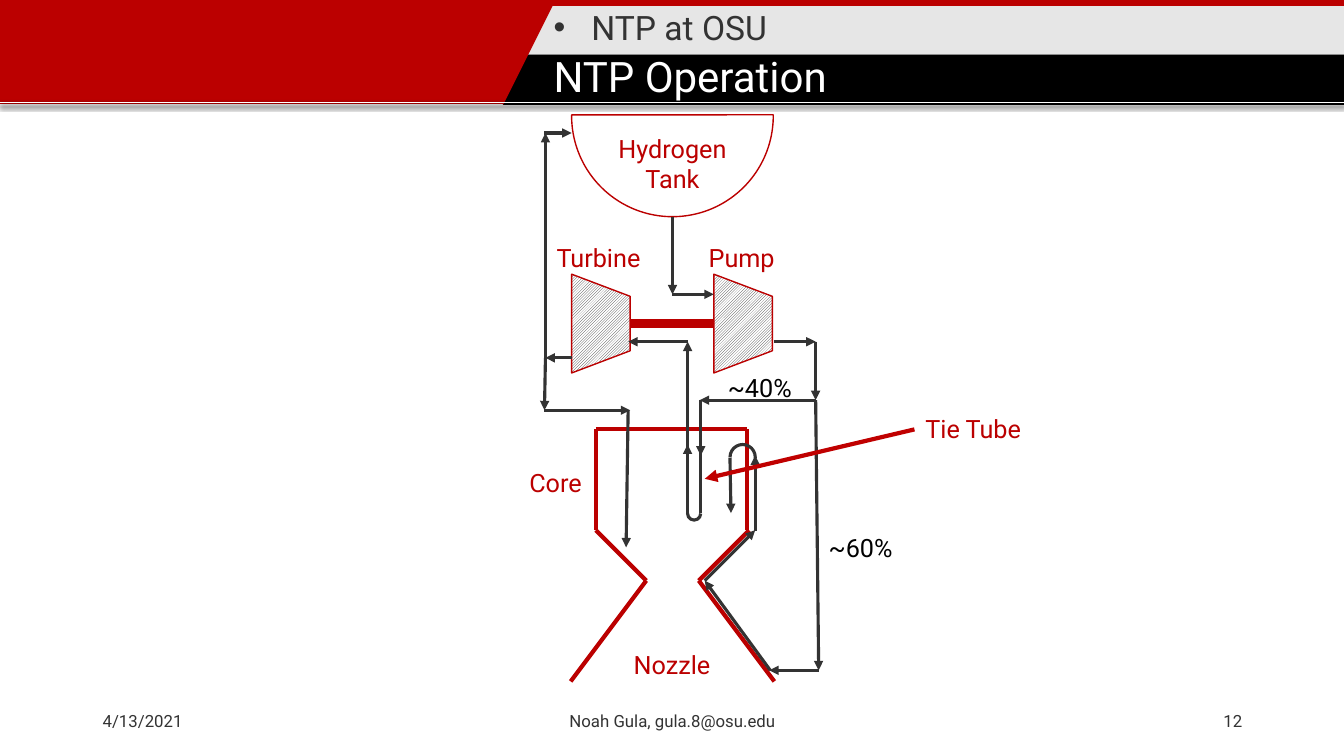
"""Build the NTP operation slide with its engine flow diagram."""
from lxml import etree
from pptx import Presentation
from pptx import util as u
from pptx.dml.color import RGBColor
from pptx.enum import dml, shapes, text
from pptx.oxml.ns import qn

THEME = {
    "font": "Roboto",
    "red": "BB0000", "tie": "C00000", "ink": "333333",
    "black": "000000", "white": "FFFFFF", "pale": "E6E6E6",
    "foot": 12, "label": 18, "topic": 24, "title": 30,
    "thin": 1, "flow": 2.25, "wall": 3, "shaft": 6,
}
KIND, ALIGN, ANCHOR = shapes.MSO_SHAPE, text.PP_ALIGN, text.MSO_ANCHOR
LEFT, MID, RIGHT = ALIGN.LEFT, ALIGN.CENTER, ALIGN.RIGHT

BANDS = [
    (KIND.RECTANGLE, (4.99, 0.54, 8.34, 0.5), "black", 0),
    (KIND.RECTANGLE, (4.99, 0.04, 8.34, 0.5), "pale", 0),
    (KIND.RECTANGLE, (0, -0.01, 13.33, 0.07), "red", 0),
    (KIND.ISOSCELES_TRIANGLE, (4.49, 0.04, 1, 1), "red", 180),
    (KIND.RECTANGLE, (0, -0.01, 4.99, 1.04), "red", 0),
]
HEADS = [
    ("NTP Operation", (5.49, 0.54, 7.84, 0.49), "title", "white"),
    ("NTP at OSU", (5.49, 0.05, 7.84, 0.48), "topic", "ink"),
]
FOOTS = [
    ("4/13/2021", (0.92, 6.95, 3, 0.4), LEFT),
    ("Noah Gula, gula.8@osu.edu", (4.42, 6.95, 4.5, 0.4), MID),
    ("12", (9.42, 6.95, 3, 0.4), RIGHT),
]
LABELS = [
    ("Nozzle", (6.14, 6.39, 1.05, 0.4), MID, "red"),
    ("Pump", (6.93, 2.35, 1.05, 0.4), LEFT, "red"),
    ("Turbine", (5.4, 2.35, 1.05, 0.4), RIGHT, "red"),
    ("~60%", (8.12, 5.23, 0.95, 0.4), LEFT, "black"),
    ("~40%", (7.12, 3.64, 0.95, 0.4), LEFT, "black"),
    ("Core", (5.09, 4.59, 0.84, 0.4), MID, "red"),
    ("Tie Tube", (9.08, 4.05, 1.48, 0.4), LEFT, "red"),
]
ROTORS = [(6.88, 2.92, 0.98, 0.58), (5.47, 2.92, 0.98, 0.58)]
CORE = [
    [(6.41, 5.76), (5.91, 5.26), (5.91, 4.26), (7.41, 4.26), (7.41, 5.26)],
    [(6.93, 5.76), (7.43, 5.26)],
]
NOZZLE = [[(7.68, 6.76), (6.93, 5.76)], [(5.66, 6.76), (6.41, 5.76)]]
FLOWS = [
    [(6.67, 2.15), (6.67, 2.92), (7.08, 2.92)],
    [(7.68, 3.39), (8.09, 3.39), (8.09, 3.97), (6.94, 3.97)],
    [(6.95, 3.97), (6.95, 4.52)],
    [(6.82, 4.49), (6.82, 4.41)],
    [(6.82, 4.45), (6.82, 3.39), (6.23, 3.39)],
    [(8.09, 3.97), (8.12, 6.65), (7.63, 6.65)],
    [(7.64, 6.65), (6.99, 5.76), (7.49, 5.26)],
    [(7.49, 5.27), (7.49, 4.52)],
    [(7.24, 4.54), (7.25, 5.09)],
    [(5.67, 3.55), (5.41, 3.55), (5.4, 4.07), (6.25, 4.07)],
    [(6.23, 4.07), (6.21, 5.43)],
    [(5.41, 3.55), (5.41, 1.32)],
    [(5.4, 1.32), (5.67, 1.32)],
]
TUBES = [[(6.95, 4.44), (6.95, 5.09)], [(6.82, 4.45), (6.82, 5.09)]]
BENDS = [((6.82, 5.03, 0.13, 0.13), 0), ((7.24, 4.41, 0.25, 0.25), 180)]
INSETS = ("margin_left", "margin_top", "margin_right", "margin_bottom")


def hue(name):
    return RGBColor.from_string(THEME[name])


def inch(vals):
    return [u.Inches(val) for val in vals]


def put(obj, vals):
    for key, val in vals.items():
        setattr(obj, key, val)


def write(shape, words, size, color, align=LEFT, frame=None, para=None):
    box = shape.text_frame
    put(box, {"word_wrap": True, **(frame or {})})
    box.text = words
    first = box.paragraphs[0]
    put(first, {"alignment": align, **(para or {})})
    put(first.font, {"name": THEME["font"], "size": u.Pt(THEME[size]), "bold": False})
    first.font.color.rgb = hue(color)


def form(host, kind, area, fill=None, line=None, width="thin", turn=0, adj=()):
    shape = host.add_shape(kind, *inch(area))
    put(shape, {"rotation": turn})
    shape.shadow.inherit = False
    for spot, val in enumerate(adj):
        shape.adjustments[spot] = val
    if fill:
        shape.fill.solid()
        shape.fill.fore_color.rgb = hue(fill)
    else:
        shape.fill.background()
    if line:
        shape.line.color.rgb = hue(line)
        shape.line.width = u.Pt(THEME[width])
    else:
        shape.line.fill.background()
    return shape


def link(host, start, end, color, width, arrow=False):
    wire = host.add_connector(shapes.MSO_CONNECTOR.STRAIGHT, *inch(start + end))
    wire.line.color.rgb = hue(color)
    wire.line.width = u.Pt(width)
    if arrow:
        etree.SubElement(wire.line._get_or_add_ln(), qn("a:tailEnd"), type="triangle")
    return etree.SubElement(wire.element.spPr, qn("a:effectLst"))


def chain(host, routes, color, width, arrow=False):
    for route in routes:
        for start, end in zip(route, route[1:]):
            link(host, start, end, color, THEME[width], arrow)


def header(slide):
    host = slide.shapes
    for kind, area, fill, turn in BANDS:
        form(host, kind, area, fill, turn=turn)
    glow = link(host, (0, 1.02), (13.33, 1.02), "white", 0.5)
    shade = etree.SubElement(glow, qn("a:outerShdw"), blurRad=str(u.Pt(4)),
                             dist=str(u.Pt(2)), dir="5400000", algn="t", rotWithShape="0")
    etree.SubElement(shade, qn("a:srgbClr"), val=THEME["black"])
    flat = {key: 0 for key in INSETS}
    flat.update(vertical_anchor=ANCHOR.MIDDLE, auto_size=text.MSO_AUTO_SIZE.NONE)
    for hold, (words, area, size, color) in zip(list(slide.placeholders), HEADS):
        put(hold, dict(zip(("left", "top", "width", "height"), inch(area))))
        prop = hold.text_frame.paragraphs[0]._p.get_or_add_pPr()
        put(prop, {"marL": 0, "indent": 0})
        etree.SubElement(prop, qn("a:buNone"))
        write(hold, words, size, color, frame=flat,
              para={"line_spacing": 0.9, "space_before": u.Pt(0)})
        host.element.append(hold.element)
    for words, area, align in FOOTS:
        write(host.add_textbox(*inch(area)), words, "foot", "ink", align,
              {"vertical_anchor": ANCHOR.MIDDLE})


def engine(host):
    tank = form(host, KIND.CHORD, (5.67, 0.15, 2, 2), line="red", adj=(215.622, 108.324))
    write(tank, "Hydrogen Tank", "label", "red", MID,
          {"vertical_anchor": ANCHOR.MIDDLE, "margin_top": u.Inches(0.94), "margin_bottom": 0})
    pump = host.add_group_shape().shapes
    for area in ROTORS:
        rotor = form(pump, KIND.TRAPEZOID, area, line="red", turn=90, adj=(0.379,))
        rotor.fill.patterned()
        rotor.fill.pattern = dml.MSO_PATTERN.LIGHT_UPWARD_DIAGONAL
        rotor.fill.fore_color.rgb = hue("ink")
        rotor.fill.back_color.rgb = hue("white")
    chain(pump, [[(6.25, 3.21), (7.08, 3.21)]], "red", "shaft")
    chain(host.add_group_shape().shapes, CORE, "red", "wall")
    chain(host, NOZZLE, "red", "wall")
    chain(host, FLOWS, "ink", "flow", True)
    chain(host, TUBES, "ink", "flow")
    for area, turn in BENDS:
        form(host, KIND.ARC, area, line="ink", width="flow", turn=turn, adj=(0.066, 111.312))
    chain(host, [[(9.07, 4.26), (6.99, 4.75)]], "tie", "wall", True)
    for words, area, align, color in LABELS:
        write(host.add_textbox(*inch(area)), words, "label", color, align,
              {"auto_size": text.MSO_AUTO_SIZE.SHAPE_TO_FIT_TEXT})


def main():
    deck = Presentation()
    put(deck, {"slide_width": u.Inches(13.33), "slide_height": u.Inches(7.5)})
    slide = deck.slides.add_slide(deck.slide_layouts[1])
    header(slide)
    engine(slide.shapes)
    deck.save("out.pptx")


if __name__ == "__main__":
    main()
